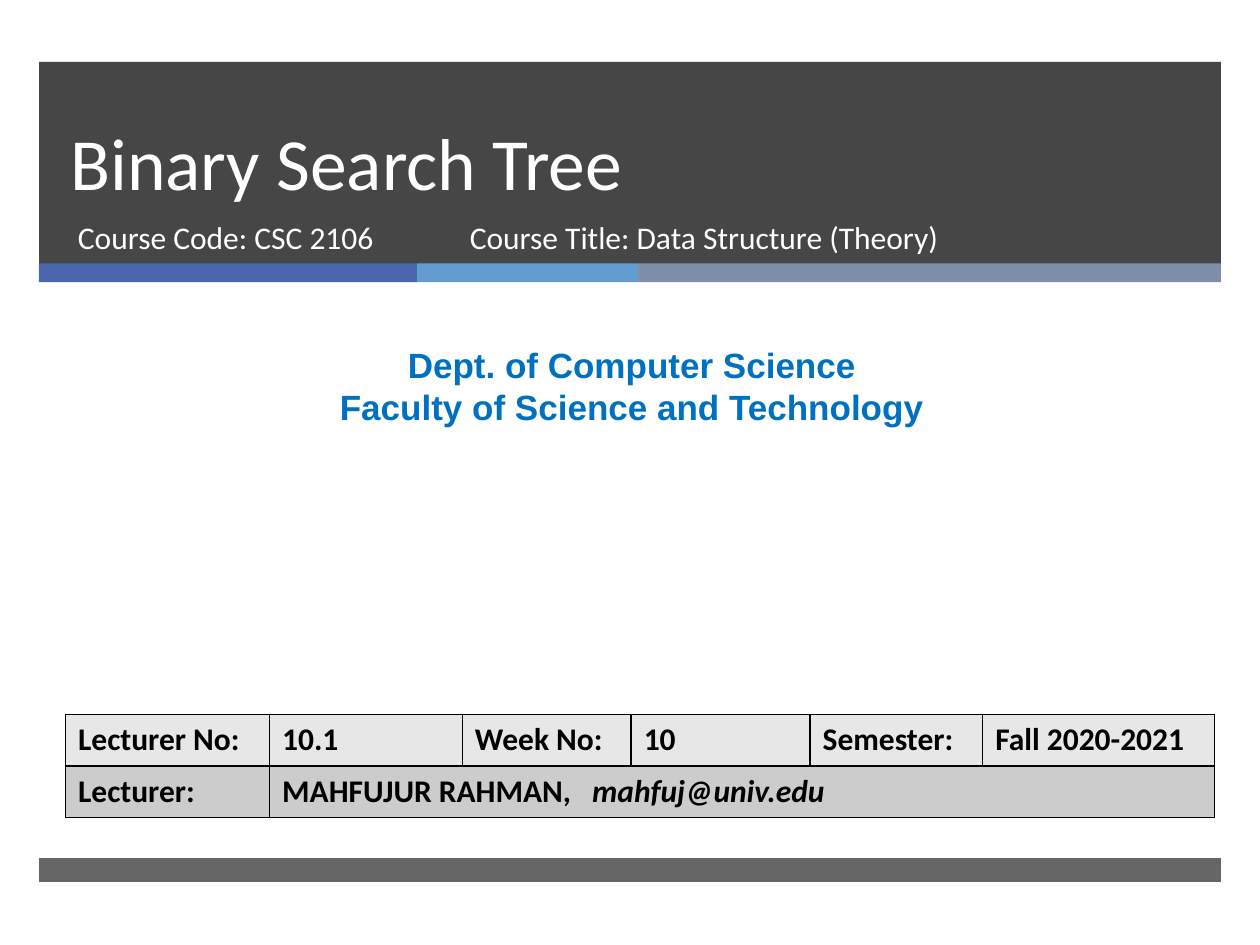
from lxml.etree import SubElement
from pptx import Presentation
from pptx.dml.color import RGBColor
from pptx.enum.shapes import MSO_SHAPE as Shape
from pptx.enum.text import MSO_ANCHOR as Anchor, PP_ALIGN as Align
from pptx.oxml.ns import qn
from pptx.util import Inches, Pt

COLORS = {
    "dark": "262626", "blue": "4A66AC", "sky": "629DD1", "slate": "7F8FA9",
    "white": "FFFFFF", "dept": "0070C0", "black": "000000",
    "row_light": "E7E7E7", "row_dark": "CCCCCC",
}
WIDTH, HEIGHT = 10, 7.5
MARGIN = 0.31
BAND_WIDTH = WIDTH - 2 * MARGIN

HEADING = {"size": Pt(42), "name": "Calibri"}
COURSE = {"size": Pt(18), "name": "Calibri"}
DEPARTMENT = {"size": Pt(20), "name": "Arial", "bold": True}
CELL = {"size": Pt(18), "name": "Calibri", "bold": True}


def rgb(name):
    return RGBColor.from_string(COLORS[name])


def add_run(paragraph, text, style, color):
    run = paragraph.add_run()
    run.text = text
    for key, value in style.items():
        setattr(run.font, key, value)
    run.font.color.rgb = rgb(color)


def add_bar(slide, box, color, opacity=100):
    bar = slide.shapes.add_shape(Shape.RECTANGLE, *map(Inches, box))
    bar.shadow.inherit = False
    bar.fill.solid()
    bar.fill.fore_color.rgb = rgb(color)
    bar.line.fill.background()
    if opacity < 100:
        fill_color = bar.fill._xPr.find(".//" + qn("a:srgbClr"))
        SubElement(fill_color, qn("a:alpha"), val=str(opacity * 1000))


def add_text(slide, box, lines, style, color, **paragraph_format):
    frame = slide.shapes.add_textbox(*map(Inches, box)).text_frame
    frame.word_wrap = True
    for index, line in enumerate(lines):
        paragraph = frame.add_paragraph() if index else frame.paragraphs[0]
        for key, value in paragraph_format.items():
            setattr(paragraph, key, value)
        add_run(paragraph, line, style, color)
    return frame


def add_header(slide, left, top, width, height):
    add_bar(slide, (left, top, width, height), "dark", 85)
    # Three-part accent strip along the lower edge
    x = left
    for color, share in (("blue", 0.32), ("sky", 0.187), ("slate", 0.493)):
        add_bar(slide, (x, top + height - 0.01, width * share, 0.15), color)
        x += width * share
    # Title and course lines
    title = add_text(slide, (left + 0.15, top, 8.54, 1.19), ["Binary Search Tree"],
                     HEADING, "white", line_spacing=Pt(46))
    title.vertical_anchor = Anchor.BOTTOM
    for offset, text_width, text in (
            (0.21, 3.05, "Course Code: CSC 2106"),
            (3.32, 4.55, "Course Title: Data Structure (Theory)")):
        add_text(slide, (left + offset, top + 1.19, text_width, 0.53), [text],
                 COURSE, "white")


def add_borders(cell):
    properties = cell._tc.get_or_add_tcPr()
    for position, side in enumerate(("a:lnL", "a:lnR", "a:lnT", "a:lnB")):
        line = properties.makeelement(qn(side), {"w": str(Pt(1))})
        properties.insert(position, line)
        fill = SubElement(line, qn("a:solidFill"))
        SubElement(fill, qn("a:srgbClr"), val=COLORS["black"])


def add_tab_stop(paragraph, position):
    tabs = SubElement(paragraph._p.get_or_add_pPr(), qn("a:tabLst"))
    SubElement(tabs, qn("a:tab"), pos=str(Inches(position)), algn="l")


def add_lecture_table(slide, left, top, columns, row_height):
    rows = (
        ("row_light", ["Lecturer No:", "10.1", "Week No:", "10",
                       "Semester:", "Fall 2020-2021"]),
        ("row_dark", ["Lecturer:", "MAHFUJUR RAHMAN,\t"]),
    )
    box = (left, top, sum(columns), row_height * len(rows))
    table = slide.shapes.add_table(len(rows), len(columns), *map(Inches, box)).table
    for column, width in zip(table.columns, columns):
        column.width = Inches(width)
    for r, (color, texts) in enumerate(rows):
        table.rows[r].height = Inches(row_height)
        for c in range(len(columns)):
            cell = table.cell(r, c)
            cell.fill.solid()
            cell.fill.fore_color.rgb = rgb(color)
            add_borders(cell)
            if c < len(texts):
                add_run(cell.text_frame.paragraphs[0], texts[c], CELL, "black")
    # Lecturer's name and address share one wide cell
    lecturer = table.cell(1, 1)
    lecturer.merge(table.cell(1, len(columns) - 1))
    paragraph = lecturer.text_frame.paragraphs[0]
    add_tab_stop(paragraph, 2.46)
    add_run(paragraph, "mahfuj@univ.edu", {**CELL, "italic": True}, "black")


def build_title_slide(presentation):
    slide = presentation.slides.add_slide(presentation.slide_layouts[6])
    add_header(slide, MARGIN, 0.49, BAND_WIDTH, 1.61)
    # Footer band
    add_bar(slide, (MARGIN, 6.81, BAND_WIDTH, 0.19), "dark", 70)
    # Department
    add_text(slide, (0.08, 2.68, 9.87, 0.77),
             ["Dept. of Computer Science", "Faculty of Science and Technology"],
             DEPARTMENT, "dept", alignment=Align.CENTER)
    add_lecture_table(slide, 0.52, 5.67, (1.62, 1.53, 1.34, 1.42, 1.37, 1.84), 0.41)


presentation = Presentation()
presentation.slide_width = Inches(WIDTH)
presentation.slide_height = Inches(HEIGHT)
build_title_slide(presentation)
presentation.save("out.pptx")
